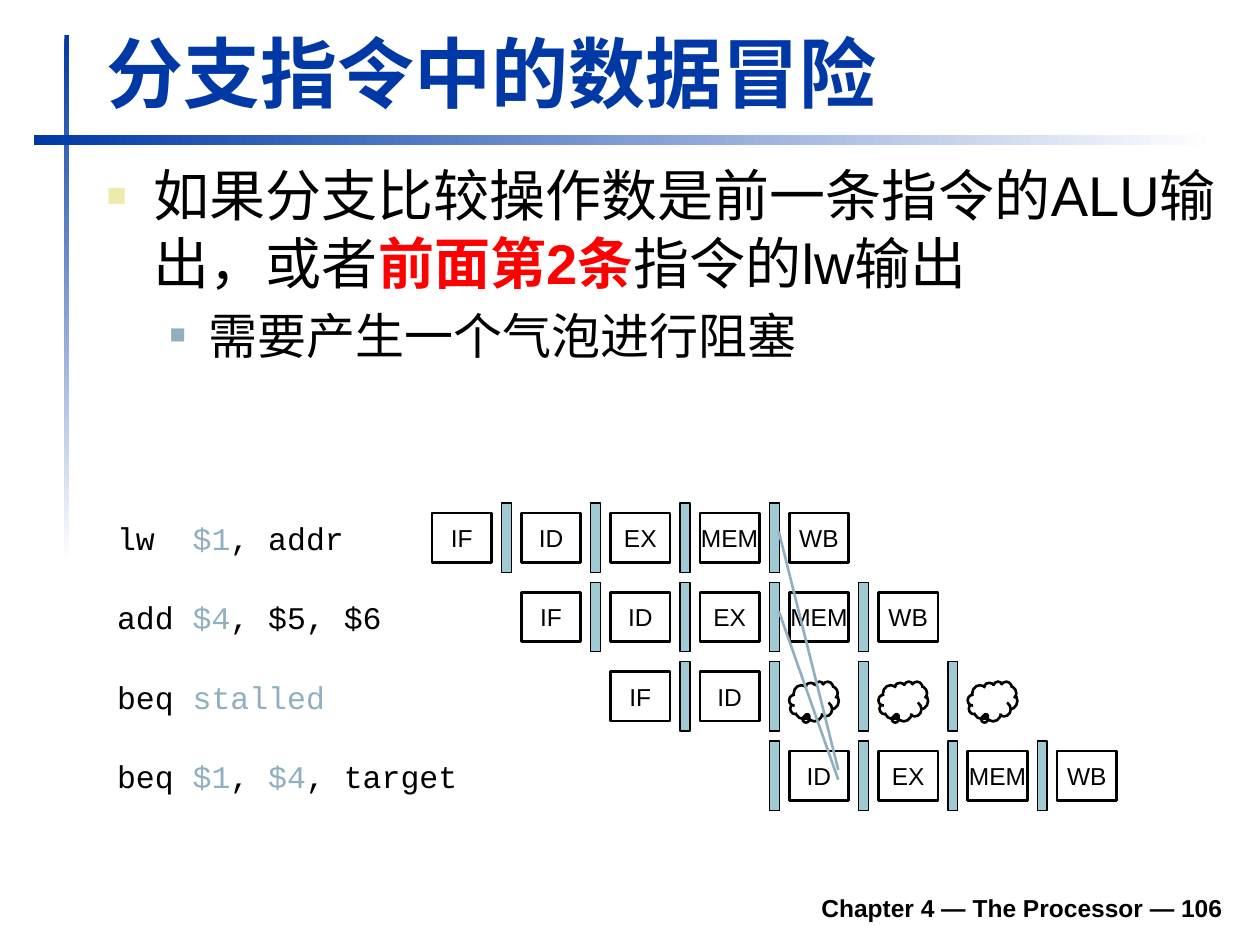
from lxml.etree import SubElement
from pptx import Presentation
from pptx.dml.color import RGBColor
from pptx.enum.shapes import MSO_CONNECTOR, MSO_SHAPE
from pptx.enum.text import MSO_ANCHOR, MSO_AUTO_SIZE, PP_ALIGN
from pptx.oxml.ns import qn
from pptx.util import Cm, Pt

BLUE, BLACK, RED, GREY_BLUE = "0039A6", "000000", "FF0000", "91AFBF"


def rgb(value):
    return RGBColor.from_string(value)


def write_runs(paragraph, runs, size, font="Arial"):
    """Add (text, colour, bold) runs in one size and font."""
    for text, colour, bold in runs:
        run = paragraph.add_run()
        run.text = text
        run.font.size = Pt(size)
        run.font.name = font
        run.font.bold = bold
        run.font.color.rgb = rgb(colour)


presentation = Presentation()
presentation.slide_width, presentation.slide_height = Cm(25.4), Cm(19.05)
slide = presentation.slides.add_slide(presentation.slide_layouts[5])
shapes = slide.shapes

# Crossing bars that fade to white
for left, top, width, height, angle in [
    (1.3, 0.71, 0.1, 10.6, 270),
    (0.69, 2.72, 23.8, 0.2, 0),
]:
    bar = shapes.add_shape(MSO_SHAPE.RECTANGLE, Cm(left), Cm(top), Cm(width), Cm(height))
    bar.shadow.inherit = False
    bar.line.fill.background()
    bar.fill.gradient()
    bar.fill.gradient_angle = angle
    for stop, colour in zip(bar.fill.gradient_stops, (BLUE, "FFFFFF")):
        stop.color.rgb = rgb(colour)

# Title
title = shapes.title
title.left, title.top, title.width, title.height = Cm(1.9), Cm(0.4), Cm(22.94), Cm(2.1)
title.text_frame.vertical_anchor = MSO_ANCHOR.BOTTOM
title.text_frame.auto_size = MSO_AUTO_SIZE.SHAPE_TO_FIT_TEXT
heading = title.text_frame.paragraphs[0]
heading.alignment = PP_ALIGN.LEFT
write_runs(heading, [("分支指令中的数据冒险", BLUE, True)], 44)

# Footer
footer = shapes.add_textbox(Cm(4.7), Cm(17.73), Cm(20.2), Cm(1)).text_frame
footer.word_wrap = True
footer.vertical_anchor = MSO_ANCHOR.BOTTOM
footer.paragraphs[0].alignment = PP_ALIGN.RIGHT
write_runs(footer.paragraphs[0], [("Chapter 4 — The Processor — 106", BLACK, True)], 14)

# Bulleted explanation
explanation = shapes.add_textbox(Cm(1.9), Cm(3.12), Cm(22.99), Cm(6.6)).text_frame
explanation.word_wrap = True
hazard_rule = [
    ("如果分支比较操作数是前一条指令的ALU输出，或者", BLACK, False),
    ("前面第2条", RED, True),
    ("指令的lw输出", BLACK, False),
]
consequence = [("需要产生一个气泡进行阻塞", BLACK, False)]
for level, (runs, size, margin, hanging, bullet_colour, bullet_percent) in enumerate([
    (hazard_rule, 32, 0.95, 0.95, "ECEAAC", 60),
    (consequence, 28, 2.06, 0.79, GREY_BLUE, 55),
]):
    paragraph = explanation.add_paragraph() if level else explanation.paragraphs[0]
    paragraph.level = level
    properties = paragraph._p.get_or_add_pPr()
    properties.set("marL", str(Cm(margin)))
    properties.set("indent", str(-Cm(hanging)))
    SubElement(SubElement(properties, qn("a:buClr")), qn("a:srgbClr"), val=bullet_colour)
    SubElement(properties, qn("a:buSzPct"), val=str(bullet_percent * 1000))
    SubElement(properties, qn("a:buFont"), typeface="Arial")
    SubElement(properties, qn("a:buChar"), char="■")
    if level:
        paragraph.space_before = Pt(0.2 * size)
    write_runs(paragraph, runs, size)

# Pipeline diagram: one row per instruction, one column per clock cycle
GRID_LEFT, GRID_TOP, CYCLE, ROW = 8.71, 10.34, 1.8, 1.6
pipeline = [
    # code, width, first stage column, stages, first register column, bubble columns
    ([("lw  ", BLACK), ("$1", GREY_BLUE), (", addr", BLACK)], 5.11,
     0, ["IF", "ID", "EX", "MEM", "WB"], 0, []),
    ([("add ", BLACK), ("$4", GREY_BLUE), (", $5, $6", BLACK)], 5.89,
     1, ["IF", "ID", "EX", "MEM", "WB"], 1, []),
    ([("beq ", BLACK), ("stalled", GREY_BLUE)], 4.72,
     2, ["IF", "ID"], 2, [4, 5, 6]),
    ([("beq ", BLACK), ("$1", GREY_BLUE), (", ", BLACK), ("$4", GREY_BLUE),
      (", target", BLACK)], 7.42,
     4, ["ID", "EX", "MEM", "WB"], 3, []),
]
for row, (code, code_width, first_stage, stages, first_register, bubbles) in enumerate(pipeline):
    top = GRID_TOP + row * ROW
    instruction = shapes.add_textbox(Cm(2.11), Cm(top), Cm(code_width), Cm(1.02)).text_frame
    instruction.word_wrap = False
    instruction.auto_size = MSO_AUTO_SIZE.SHAPE_TO_FIT_TEXT
    write_runs(instruction.paragraphs[0], [(text, colour, False) for text, colour in code],
               18, "Courier New")

    for column, stage in enumerate(stages, first_stage):
        box = shapes.add_shape(MSO_SHAPE.RECTANGLE, Cm(GRID_LEFT + column * CYCLE), Cm(top),
                               Cm(1.2), Cm(1))
        box.shadow.inherit = False
        box.fill.background()
        box.line.color.rgb = rgb(BLACK)
        box.line.width = Pt(1.5)
        box.text_frame.word_wrap = False
        box.text_frame.vertical_anchor = MSO_ANCHOR.MIDDLE
        box.text_frame.paragraphs[0].alignment = PP_ALIGN.CENTER
        write_runs(box.text_frame.paragraphs[0], [(stage, BLACK, False)], 14)

    for column in range(first_register, first_register + 4):
        register = shapes.add_shape(MSO_SHAPE.RECTANGLE, Cm(GRID_LEFT + 1.4 + column * CYCLE),
                                    Cm(top - 0.2), Cm(0.2), Cm(1.4))
        register.shadow.inherit = False
        register.fill.solid()
        register.fill.fore_color.rgb = rgb("9FCAD3")
        register.line.color.rgb = rgb(BLACK)
        register.line.width = Pt(0.75)

    for column in bubbles:
        bubble = shapes.add_shape(MSO_SHAPE.CLOUD_CALLOUT, Cm(GRID_LEFT + column * CYCLE),
                                  Cm(top + 0.2), Cm(1), Cm(0.8))
        bubble.adjustments[0], bubble.adjustments[1] = -0.13, 0.36
        bubble.shadow.inherit = False
        bubble.fill.background()
        bubble.line.color.rgb = rgb(BLACK)
        bubble.line.width = Pt(1.5)

# Forwarding of $1 and $4 to the branch
for start_y, end_y in [(10.72, 15.52), (12.32, 15.72)]:
    forwarding = shapes.add_connector(MSO_CONNECTOR.STRAIGHT, Cm(15.7), Cm(start_y),
                                      Cm(16.9), Cm(end_y))
    forwarding.line.color.rgb = rgb(GREY_BLUE)
    forwarding.line.width = Pt(1.5)
    SubElement(forwarding._element.spPr, qn("a:effectLst"))

presentation.save("out.pptx")
